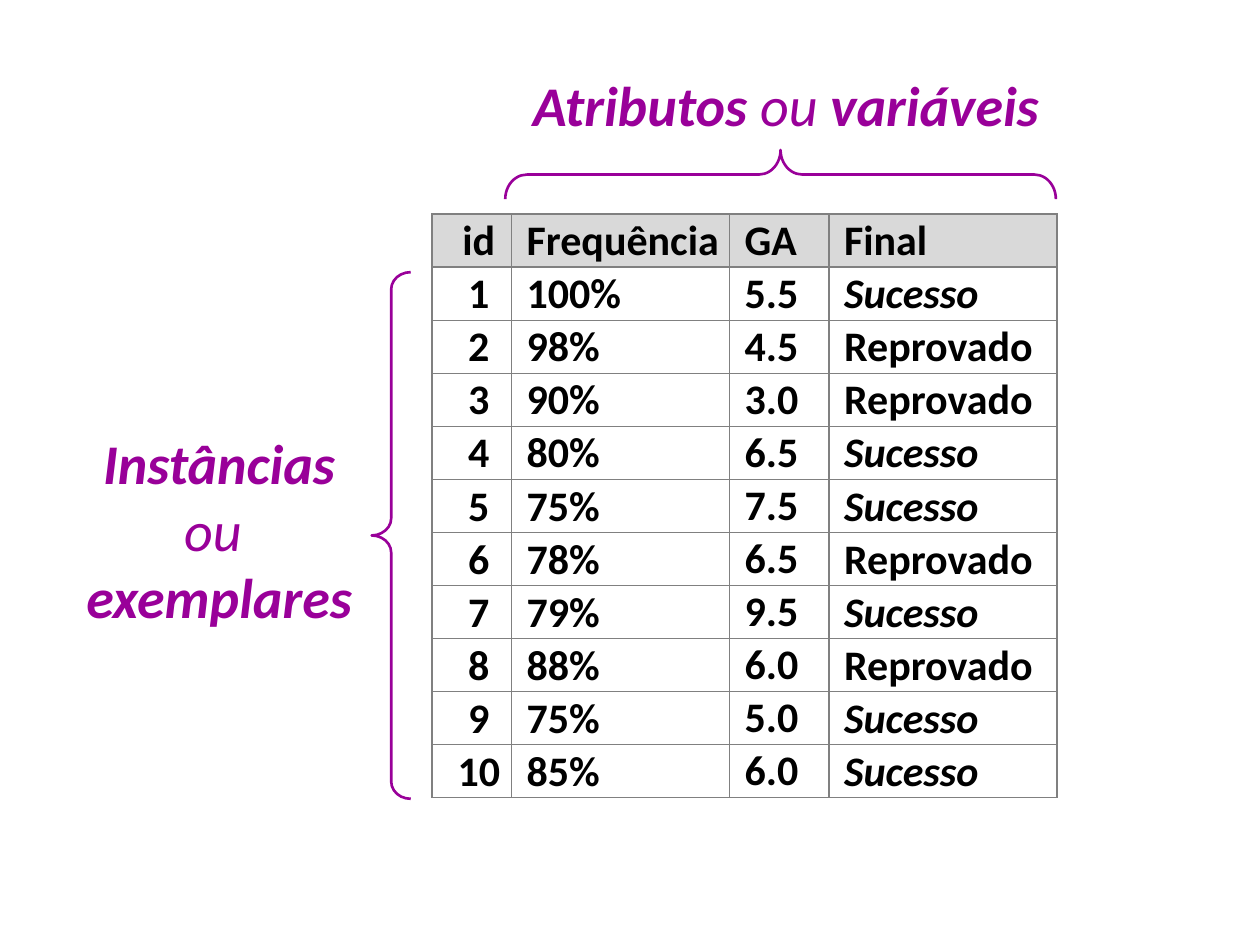
from lxml.etree import SubElement
from pptx import Presentation
from pptx.dml.color import RGBColor
from pptx.enum.shapes import MSO_SHAPE
from pptx.enum.text import MSO_ANCHOR, PP_ALIGN
from pptx.oxml.ns import qn
from pptx.util import Inches, Pt

PURPLE, BLACK, WHITE = "990099", "000000", "FFFFFF"
HEADER_GRAY, BORDER_GRAY = "D9D9D9", "808080"

HEADINGS = ("id", "Frequência", "GA", "Final")
COLUMN_WIDTHS = (0.63, 1.73, 0.79, 1.81)
STUDENTS = (
    ("100%", "5.5", "Sucesso"),
    ("98%", "4.5", "Reprovado"),
    ("90%", "3.0", "Reprovado"),
    ("80%", "6.5", "Sucesso"),
    ("75%", "7.5", "Sucesso"),
    ("78%", "6.5", "Reprovado"),
    ("79%", "9.5", "Sucesso"),
    ("88%", "6.0", "Reprovado"),
    ("75%", "5.0", "Sucesso"),
    ("85%", "6.0", "Sucesso"),
)


def color(hex_value):
    """Turn a hex string into a colour."""
    return RGBColor.from_string(hex_value)


def add_text(paragraph, text, size=24, ink=BLACK, bold=True, italic=False, align=None):
    """Append one formatted run to a paragraph."""
    run = paragraph.add_run()
    run.text = text
    font = run.font
    font.name, font.size, font.bold, font.italic = "Calibri", Pt(size), bold, italic
    font.color.rgb = color(ink)
    if align is not None:
        paragraph.alignment = align


def add_borders(cell):
    """Draw a thin gray line on each side of a cell."""
    properties = cell._tc.get_or_add_tcPr()
    for side in ("a:lnL", "a:lnR", "a:lnT", "a:lnB"):
        line = SubElement(properties, qn(side), w=str(Pt(1)))
        fill = SubElement(line, qn("a:solidFill"))
        SubElement(fill, qn("a:srgbClr"), val=BORDER_GRAY)


def add_student_table(slide, left, top, width, height):
    """Place the table of students in the given box."""
    records = [HEADINGS] + [(str(i), *student) for i, student in enumerate(STUDENTS, 1)]
    table = slide.shapes.add_table(
        len(records), len(HEADINGS),
        Inches(left), Inches(top), Inches(width), Inches(height)).table
    for column, share in zip(table.columns, COLUMN_WIDTHS):
        column.width = Inches(width * share / sum(COLUMN_WIDTHS))
    for row, record in enumerate(records):
        table.rows[row].height = Inches(height / len(records))
        for heading, value, cell in zip(HEADINGS, record, table.rows[row].cells):
            cell.margin_left, cell.margin_bottom = Inches(0.12), 0
            cell.margin_right = cell.margin_top = Inches(0.01)
            is_grade = heading == "GA" and row > 0
            cell.vertical_anchor = MSO_ANCHOR.TOP if is_grade else MSO_ANCHOR.BOTTOM
            add_borders(cell)
            cell.fill.solid()
            cell.fill.fore_color.rgb = color(WHITE if row else HEADER_GRAY)
            add_text(cell.text_frame.paragraphs[0], value, italic=value == "Sucesso",
                     align=PP_ALIGN.CENTER if heading == "id" else PP_ALIGN.LEFT)


def add_label(slide, left, top, width, height, lines, align):
    """Place a purple label whose lines are lists of (text, bold) pairs."""
    frame = slide.shapes.add_textbox(
        Inches(left), Inches(top), Inches(width), Inches(height)).text_frame
    frame.word_wrap = True
    for index, line in enumerate(lines):
        paragraph = frame.add_paragraph() if index else frame.paragraphs[0]
        for text, bold in line:
            add_text(paragraph, text, size=32, ink=PURPLE, bold=bold, italic=True, align=align)


def add_brace(slide, left, top, width, height, rotation=0):
    """Place a purple brace in the given box."""
    brace = slide.shapes.add_shape(
        MSO_SHAPE.LEFT_BRACE, Inches(left), Inches(top), Inches(width), Inches(height))
    brace.adjustments[0], brace.adjustments[1] = 0.439, 0.5
    brace.rotation = rotation
    brace.shadow.inherit = False
    brace.fill.background()
    brace.line.color.rgb = color(PURPLE)
    brace.line.width = Pt(1.5)


def main():
    """Build and save the slide."""
    deck = Presentation()
    deck.slide_width, deck.slide_height = Inches(10), Inches(7.5)
    slide = deck.slides.add_slide(deck.slide_layouts[6])
    add_student_table(slide, 3.43, 1.7, 4.96, 4.63)
    add_label(slide, 0.34, 3.35, 2.8, 1.34,
              [[("Instâncias", True)], [("ou ", False)], [("exemplares", True)]],
              PP_ALIGN.CENTER)
    add_brace(slide, 2.95, 2.16, 0.31, 4.18)
    add_brace(slide, 6, -0.8, 0.39, 4.37, rotation=90)
    add_label(slide, 4.13, 0.51, 5.35, 0.55,
              [[("Atributos", True), (" ou ", False), ("variáveis", True)]],
              PP_ALIGN.LEFT)
    deck.save("out.pptx")


if __name__ == "__main__":
    main()
